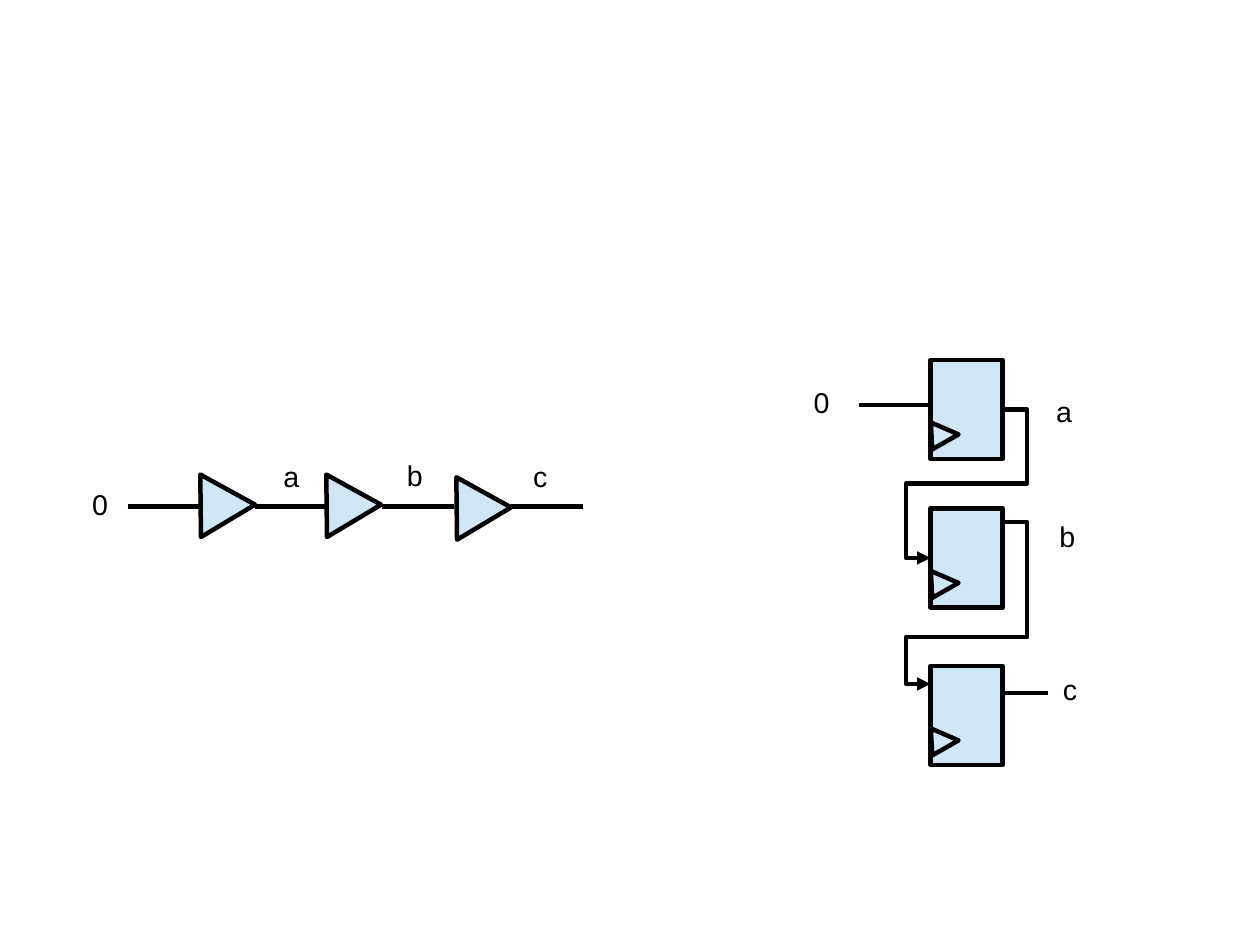
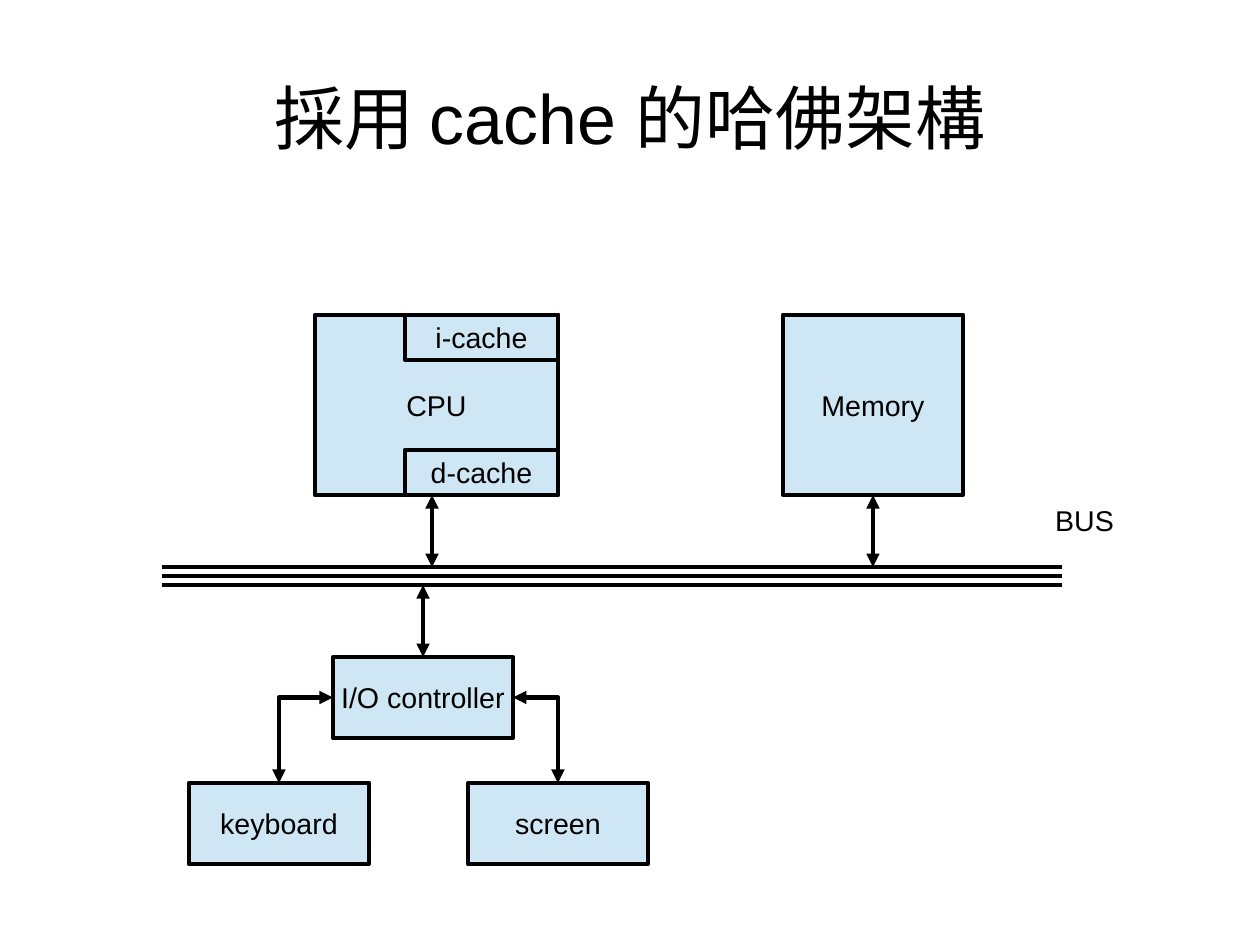
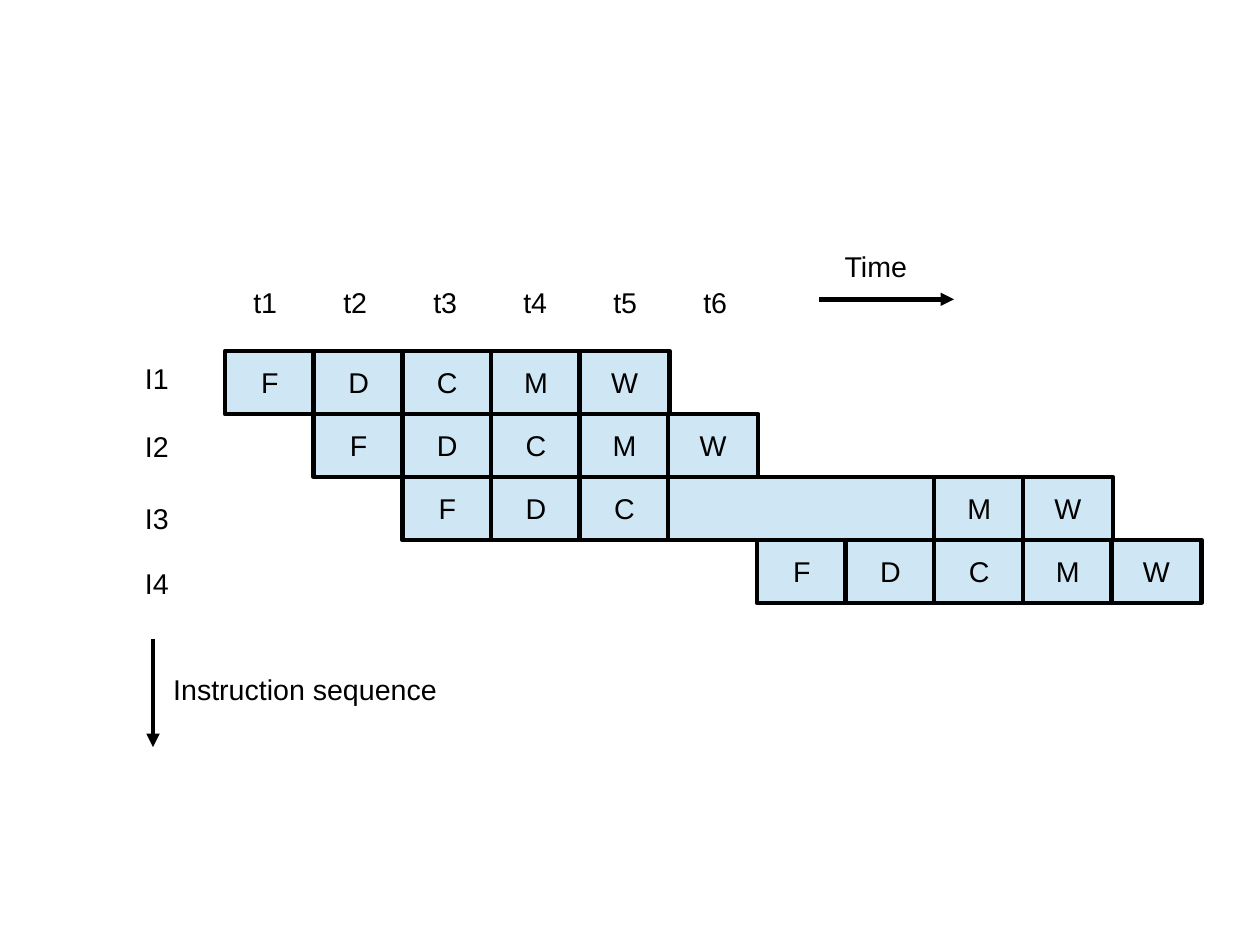
from lxml.etree import SubElement
from pptx import Presentation
from pptx.dml.color import RGBColor
from pptx.enum.shapes import MSO_CONNECTOR, MSO_SHAPE
from pptx.enum.text import MSO_ANCHOR, MSO_AUTO_SIZE, PP_ALIGN
from pptx.oxml.ns import qn
from pptx.util import Cm, Pt

BLACK = RGBColor(0x00, 0x00, 0x00)
PALE_BLUE = RGBColor(0xCF, 0xE7, 0xF5)
FONT = "Arial"
TEXT_SIZE = Pt(18)
TITLE_SIZE = Pt(44)
STROKE = Pt(2.83)
COLUMNS, ROWS = 28, 21
LABEL_WIDTH, LABEL_HEIGHT = 1.2, 0.96

deck = Presentation()
deck.slide_width, deck.slide_height = Cm(COLUMNS), Cm(ROWS)
UNIT = deck.slide_width / COLUMNS
TITLE_LAYOUT, BLANK_LAYOUT = deck.slide_layouts[5], deck.slide_layouts[6]


def add_block(shapes, place, text="", kind=MSO_SHAPE.RECTANGLE, turn=0):
    """Add a pale outlined shape, or a bare label when kind is None.

    place is left, top, width, height in grid units.
    """
    left, top, width, height = (round(length * UNIT) for length in place)
    if kind is None:
        box = shapes.add_textbox(left, top, width, height)
        box.text_frame.auto_size = MSO_AUTO_SIZE.SHAPE_TO_FIT_TEXT
    else:
        box = shapes.add_shape(kind, left, top, width, height)
        box.shadow.inherit = False
        box.rotation = turn
        box.fill.solid()
        box.fill.fore_color.rgb = PALE_BLUE
        box.line.color.rgb = BLACK
        box.line.width = STROKE
        box.text_frame.vertical_anchor = MSO_ANCHOR.MIDDLE
    box.text_frame.word_wrap = kind is None
    if text:
        para = box.text_frame.paragraphs[0]
        para.alignment = PP_ALIGN.LEFT if kind is None else PP_ALIGN.CENTER
        span = para.add_run()
        span.text = text
        span.font.name, span.font.size = FONT, TEXT_SIZE
        span.font.color.rgb = BLACK
    return box


def add_wire(page, start, end, arrows=(), preset="line", bends=(), joins=(None, None)):
    """Add a connector between two grid points.

    arrows names its headEnd and tailEnd, bends are the preset's adjustments,
    joins holds a (shape, side) pair or None for each end.
    """
    points = [round(length * UNIT) for length in (*start, *end)]
    wire = page.shapes.add_connector(MSO_CONNECTOR.STRAIGHT, *points)
    wire.line.color.rgb = BLACK
    wire.line.width = STROKE
    for connect, join in zip((wire.begin_connect, wire.end_connect), joins):
        if join:
            connect(*join)
    properties = wire._element.spPr
    outline = properties.find(qn("a:ln"))
    for arrow in arrows:
        SubElement(outline, qn(f"a:{arrow}"), type="triangle")
    SubElement(properties, qn("a:effectLst"))
    geometry = properties.find(qn("a:prstGeom"))
    geometry.set("prst", preset)
    guides = geometry.find(qn("a:avLst"))
    for number, bend in enumerate(bends, 1):
        SubElement(guides, qn("a:gd"), name=f"adj{number}", fmla=f"val {round(bend * 100000)}")


TAIL = ("tailEnd",)
BOTH = ("headEnd", "tailEnd")
TOP, LEFT, BOTTOM, RIGHT = range(4)

# Buffer chain and flip-flop chain
page = deck.slides.add_slide(BLANK_LAYOUT)
for left, top in ((4.06, 10.46), (6.86, 10.46), (9.75, 10.52)):
    add_block(page.shapes, (left, top, 1.4, 1.2), kind=MSO_SHAPE.ISOSCELES_TRIANGLE, turn=329.1)
for left in (2.84, 5.66, 8.48, 11.36):
    add_wire(page, (left, 11.25), (left + 1.6, 11.25))

FLOP_LEFT, FLOP_WIDTH, FLOP_HEIGHT = 20.68, 1.6, 2.2
FLOP_RIGHT = FLOP_LEFT + FLOP_WIDTH
flops = []
for top in (8, 11.3, 14.8):
    group = page.shapes.add_group_shape()
    flops.append(add_block(group.shapes, (FLOP_LEFT, top, FLOP_WIDTH, FLOP_HEIGHT)))
    add_block(group.shapes, (FLOP_LEFT + 0.02, top + 1.37, 0.6, 0.6),
              kind=MSO_SHAPE.ISOSCELES_TRIANGLE, turn=86.8)
add_wire(page, (FLOP_LEFT - 1.6, 9), (FLOP_LEFT, 9))
add_wire(page, (FLOP_RIGHT, 9.1), (FLOP_LEFT, 12.4), TAIL, "bentConnector5",
         (-0.34, 0.5, 1.34), ((flops[0], RIGHT), (flops[1], LEFT)))
add_wire(page, (FLOP_RIGHT, 11.6), (FLOP_LEFT, 15.2), TAIL, "bentConnector5",
         (-0.34, 0.71, 1.34))
add_wire(page, (FLOP_RIGHT, 15.4), (FLOP_RIGHT + 1, 15.4))

for text, left, top in (
    ("0", 1.8, 10.7), ("a", 6.05, 10.08), ("b", 8.79, 10.06), ("c", 11.6, 10.08),
    ("0", 17.83, 8.43), ("a", 23.22, 8.64), ("b", 23.29, 11.4), ("c", 23.37, 14.81),
):
    add_block(page.shapes, (left, top, LABEL_WIDTH, LABEL_HEIGHT), text, kind=None)

# Harvard architecture with caches
page = deck.slides.add_slide(TITLE_LAYOUT)
title = page.shapes.title
title.left, title.top, title.width, title.height = (
    round(length * UNIT) for length in (1.4, 0.84, 25.2, 3.5))
frame = title.text_frame
frame.margin_left = frame.margin_top = frame.margin_right = frame.margin_bottom = 0
frame.vertical_anchor = MSO_ANCHOR.MIDDLE
para = frame.paragraphs[0]
para.alignment = PP_ALIGN.CENTER
span = para.add_run()
span.text = "採用 cache 的哈佛架構"
span.font.name, span.font.size = FONT, TITLE_SIZE
span.font.color.rgb = BLACK

BUS_TOP, BUS_BOTTOM = 12.6, 13
for level in (BUS_TOP, 12.8, BUS_BOTTOM):
    add_wire(page, (3.6, level), (23.6, level))
units = {
    name: add_block(page.shapes, place, name)
    for name, place in (
        ("CPU", (7, 7, 5.4, 4)),
        ("Memory", (17.4, 7, 4, 4)),
        ("I/O controller", (7.4, 14.6, 4, 1.8)),
        ("keyboard", (4.2, 17.4, 4, 1.8)),
        ("screen", (10.4, 17.4, 4, 1.8)),
        ("d-cache", (9, 10, 3.4, 1)),
        ("i-cache", (9, 7, 3.4, 1)),
    )
}
controller = units["I/O controller"]
add_block(page.shapes, (23.2, 11.05, 2.4, LABEL_HEIGHT), "BUS", kind=None)
add_wire(page, (9.6, 11), (9.6, BUS_TOP), BOTH)
add_wire(page, (19.4, 11), (19.4, BUS_TOP), BOTH, joins=((units["Memory"], BOTTOM), None))
add_wire(page, (9.4, BUS_BOTTOM), (9.4, 14.6), BOTH, joins=(None, (controller, TOP)))
for device, side, start, end in (
    ("keyboard", LEFT, (7.4, 15.5), (6.2, 17.4)),
    ("screen", RIGHT, (11.4, 15.5), (12.4, 17.4)),
):
    add_wire(page, start, end, BOTH, "bentConnector2",
             joins=((controller, side), (units[device], TOP)))

# Pipeline with a stall in the third instruction
page = deck.slides.add_slide(BLANK_LAYOUT)
STAGE_LEFT, STAGE_STEP, STAGE_WIDTH = 5, 1.97, 2
STAGE_TOP, STAGE_HEIGHT = 7.8, 1.4
for row, stages in enumerate(("FDCMW", ".FDCMW", "..FDC...MW", "......FDCMW")):
    for column, stage in enumerate(stages):
        if stage != ".":
            add_block(page.shapes, (STAGE_LEFT + column * STAGE_STEP, STAGE_TOP + row * STAGE_HEIGHT,
                                    STAGE_WIDTH, STAGE_HEIGHT), stage)
add_block(page.shapes, (STAGE_LEFT + 5 * STAGE_STEP, STAGE_TOP + 2 * STAGE_HEIGHT,
                        3 * STAGE_STEP, STAGE_HEIGHT))

for number, top in enumerate((7.9, 9.4, 11, 12.45), 1):
    add_block(page.shapes, (2.97, top, LABEL_WIDTH, LABEL_HEIGHT), f"I{number}", kind=None)
for number in range(1, 7):
    add_block(page.shapes, (3.38 + 2 * number, 6.2, LABEL_WIDTH, LABEL_HEIGHT),
              f"t{number}", kind=None)
add_block(page.shapes, (18.52, 5.4, 2.4, LABEL_HEIGHT), "Time", kind=None)
add_wire(page, (18.2, 6.65), (21.2, 6.65), TAIL)
add_block(page.shapes, (3.6, 14.8, 7.2, LABEL_HEIGHT), "Instruction sequence", kind=None)
add_wire(page, (3.4, 14.2), (3.4, 16.6), TAIL)

deck.save("out.pptx")
